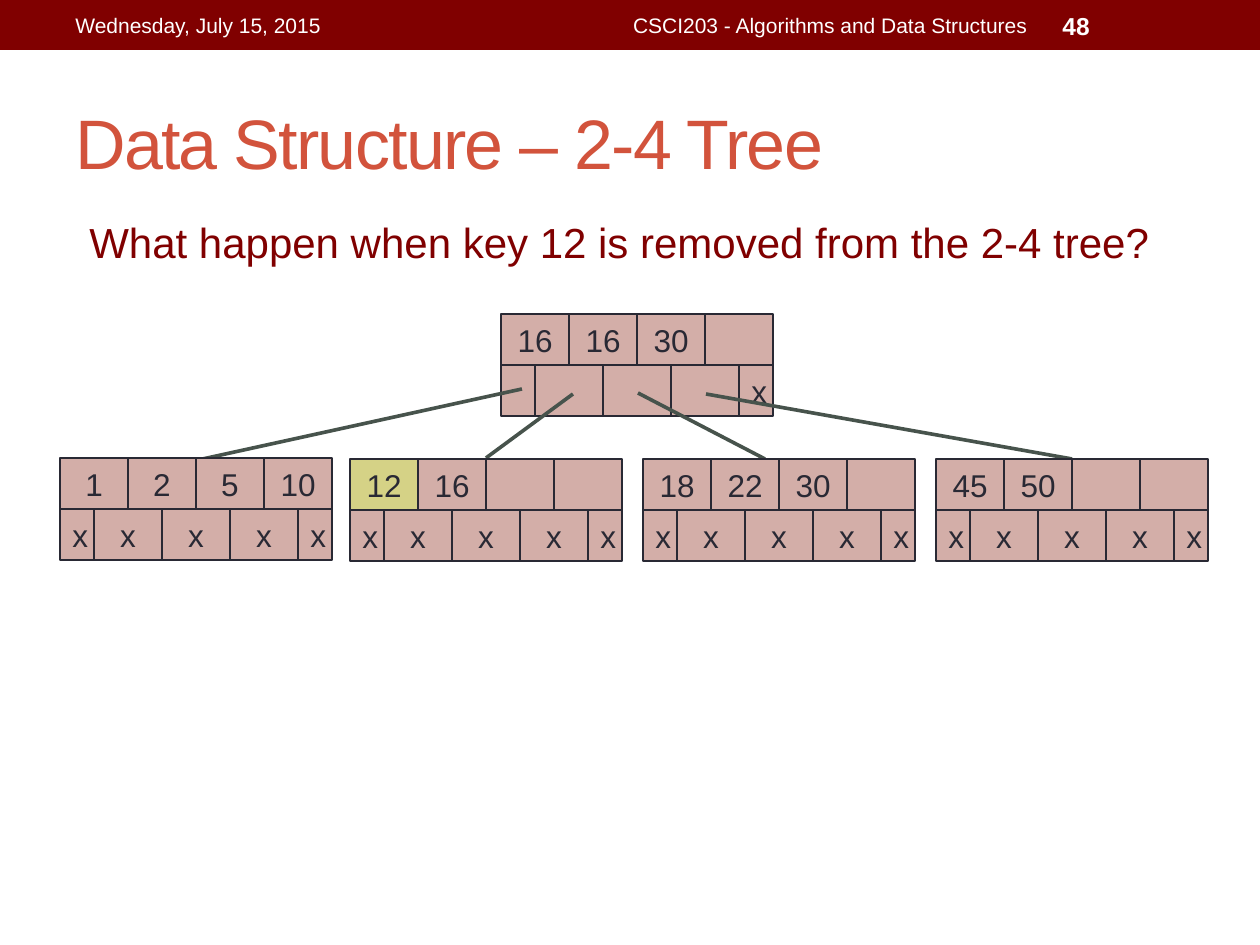
from pptx import Presentation
from pptx.dml.color import RGBColor
from pptx.enum.shapes import MSO_CONNECTOR, MSO_SHAPE
from pptx.enum.text import MSO_ANCHOR, PP_ALIGN
from pptx.oxml.ns import qn
from pptx.util import Pt
from lxml import etree

RECT = MSO_SHAPE.RECTANGLE
STRAIGHT = MSO_CONNECTOR.STRAIGHT
LEFT, CENTER, RIGHT = PP_ALIGN.LEFT, PP_ALIGN.CENTER, PP_ALIGN.RIGHT
TOP, MIDDLE = MSO_ANCHOR.TOP, MSO_ANCHOR.MIDDLE

MAROON = RGBColor(0x80, 0x00, 0x00)
CORAL = RGBColor(0xD2, 0x53, 0x3C)
WHITE = RGBColor(0xFF, 0xFF, 0xFF)
INK = RGBColor(0x29, 0x29, 0x34)
PINK = RGBColor(0xD3, 0xAE, 0xA8)
OLIVE = RGBColor(0xD5, 0xD2, 0x86)
SLATE = RGBColor(0x47, 0x53, 0x4C)

FONT = "Arial"
CELL_W, CELL_H = 68, 51
POINTER_WIDTHS = (34, 68, 68, 68, 34)
ROOT = (501, 314, ("16", "16", "30", ""), ("", "", "", "", "x"))
LEAVES = (
    (60, 458, ("1", "2", "5", "10")),
    (350, 459, ("12", "16", "", "")),
    (643, 459, ("18", "22", "30", "")),
    (936, 459, ("45", "50", "", "")),
)
LINKS = (
    ((21, 75), (138, 2)),
    ((72, 80), (136, -1)),
    ((137, 79), (122, 0)),
    ((205, 80), (136, 0)),
)


def px(n):
    """Turn slide px into EMU at 126 px to the inch."""
    return round(n * 914400 / 126)


def write(sp, text, size, color, align, anchor, bold=False, spacing=None):
    """Set one run of text in a shape."""
    tf = sp.text_frame
    tf.word_wrap = True
    tf.vertical_anchor = anchor
    p = tf.paragraphs[0]
    p.alignment = align
    r = p.add_run()
    r.text = text
    r.font.name = FONT
    r.font.size = Pt(size)
    r.font.bold = bold
    r.font.color.rgb = color
    if spacing is not None:
        r.font._element.set("spc", str(spacing))


def add_label(s, box, text, size, color, align=LEFT, anchor=MIDDLE, **style):
    """Place a text box."""
    sp = s.shapes.add_textbox(*map(px, box))
    write(sp, text, size, color, align, anchor, **style)


def add_rect(s, box, fill, line=None):
    """Place a flat rectangle, outlined if a line colour is given."""
    sp = s.shapes.add_shape(RECT, *map(px, box))
    sp.shadow.inherit = False
    sp.fill.solid()
    sp.fill.fore_color.rgb = fill
    if line is None:
        sp.line.fill.background()
    else:
        sp.line.color.rgb = line
        sp.line.width = Pt(0.75)
    return sp


def add_header(s, x, y, w, h):
    """Draw the top band with date, course and page number."""
    add_rect(s, (x, y, w, h), MAROON)
    add_label(s, (x + 63, y + 3, 399, 45), "Wednesday, July 15, 2015", 12, WHITE)
    add_label(s, (x + 473, y + 3, 567, 45),
              "CSCI203 - Algorithms and Data Structures", 12, WHITE, RIGHT)
    add_label(s, (x + 1050, y + 3, 147, 45), "48", 14, WHITE, bold=True)


def add_row(s, x, y, widths, texts, marked):
    """Draw adjoining cells, highlighting the marked text."""
    for w, text in zip(widths, texts):
        fill = OLIVE if text == marked else PINK
        sp = add_rect(s, (x, y, w, CELL_H), fill, INK)
        if text:
            write(sp, text, 18, INK, CENTER, MIDDLE)
        x += w


def add_node(s, x, y, keys, pointers=("x",) * 5, marked="12"):
    """Draw a tree node: a row of keys over a row of pointers."""
    add_row(s, x, y, (CELL_W,) * len(keys), keys, marked)
    add_row(s, x, y + CELL_H, POINTER_WIDTHS, pointers, marked)


def add_link(s, x1, y1, x2, y2):
    """Draw a line from a pointer to a child node."""
    c = s.shapes.add_connector(STRAIGHT, *map(px, (x1, y1, x2, y2)))
    c.line.color.rgb = SLATE
    c.line.width = Pt(2.08)
    etree.SubElement(c._element.spPr, qn("a:effectLst"))


def add_tree(s, x, y):
    """Draw the root, its links and its leaves."""
    root_x, root_y, keys, pointers = ROOT
    add_node(s, x + root_x, y + root_y, keys, pointers)
    for (dx1, dy1), (dx2, dy2), (leaf_x, leaf_y, _) in (
            (*link, leaf) for link, leaf in zip(LINKS, LEAVES)):
        add_link(s, x + root_x + dx1, y + root_y + dy1,
                 x + leaf_x + dx2, y + leaf_y + dy2)
    for leaf_x, leaf_y, keys in LEAVES:
        add_node(s, x + leaf_x, y + leaf_y, keys)


def main():
    """Build the 2-4 tree slide."""
    prs = Presentation()
    prs.slide_width, prs.slide_height = px(1260), px(945)
    s = prs.slides.add_slide(prs.slide_layouts[6])
    add_header(s, 0, 0, 1260, 50)
    add_label(s, (63, 73, 1134, 136), "Data Structure – 2-4 Tree", 40, CORAL,
              spacing=-100)
    add_label(s, (77, 210, 1120, 63),
              "What happen when key 12 is removed from the 2-4 tree?",
              24, MAROON, anchor=TOP)
    add_tree(s, 0, 0)
    prs.save("out.pptx")


if __name__ == "__main__":
    main()
